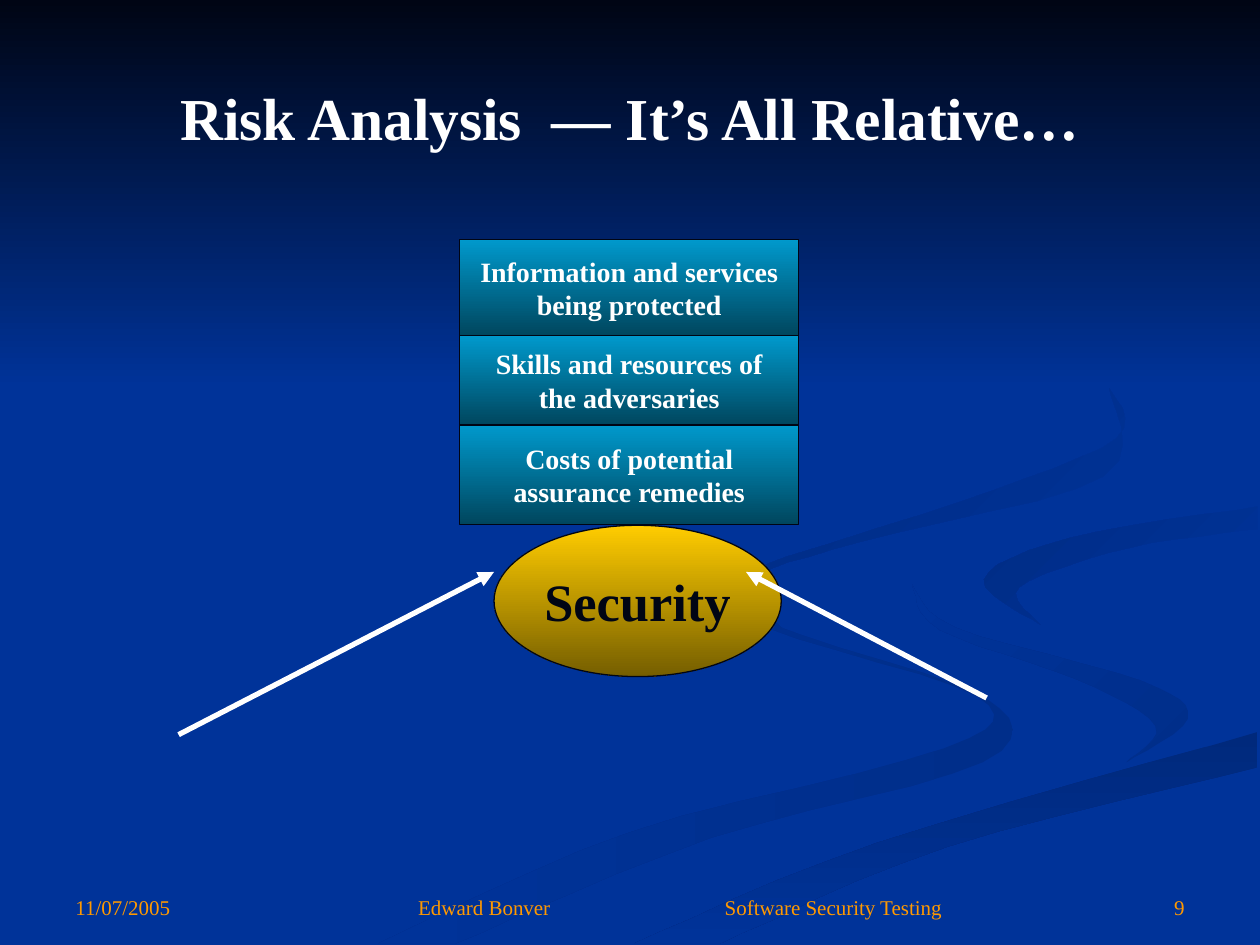
from lxml.etree import SubElement
from pptx import Presentation
from pptx.dml.color import RGBColor
from pptx.enum.shapes import MSO_CONNECTOR, MSO_SHAPE
from pptx.enum.text import MSO_ANCHOR, PP_ALIGN
from pptx.oxml.ns import qn
from pptx.util import Cm, Pt

FONT = "Times New Roman"
BLUE = RGBColor(0x00, 0x33, 0x99)
NIGHT = RGBColor(0x00, 0x05, 0x14)
RIBBON_BLUE = RGBColor(0x00, 0x2E, 0x8A)
RIBBON_DEEP = RGBColor(0x00, 0x29, 0x7C)
RIBBON_MID = RGBColor(0x00, 0x2C, 0x85)
RIBBON_DARK = RGBColor(0x00, 0x2B, 0x81)
CYAN = RGBColor(0x00, 0x99, 0xCC)
TEAL = RGBColor(0x00, 0x46, 0x5E)
GOLD = RGBColor(0xFF, 0xCC, 0x00)
BRONZE = RGBColor(0x75, 0x5E, 0x00)
WHITE = RGBColor(0xFF, 0xFF, 0xFF)
ORANGE = RGBColor(0xFF, 0x99, 0x00)

RIBBONS = [
    (RIBBON_BLUE, BLUE, 180,
     [(575, 459), (611, 499), (776, 553), (749, 594), (499, 661), (300, 749)],
     [(361, 749), (564, 665), (780, 605), (781, 553), (614, 496), (575, 459)]),
    (RIBBON_BLUE, BLUE, 225,
     [(724, 464), (758, 498), (905, 540), (943, 570), (894, 605)],
     [(894, 605), (917, 576), (854, 539), (746, 500), (724, 464)]),
    (RIBBON_DEEP, BLUE, 90,
     [(503, 749), (696, 669), (998, 581)],
     [(998, 609), (752, 672), (571, 749)]),
    (BLUE, RIBBON_MID, 225,
     [(998, 402), (849, 427), (781, 460), (826, 496)],
     [(826, 496), (809, 466), (896, 435), (998, 420)]),
    (BLUE, RIBBON_DARK, 225,
     [(880, 307), (886, 348), (763, 398), (577, 462), (622, 500)],
     [(622, 500), (596, 461), (683, 430), (876, 378), (880, 307)]),
]


def smooth(edge, steps=6):
    """Return points on a Catmull-Rom curve through the edge."""
    ends = [edge[0], *edge, edge[-1]]
    curve = []
    for quad in zip(ends, ends[1:], ends[2:], ends[3:]):
        for t in (i / steps for i in range(steps)):
            curve.append(tuple(
                b + t * ((c - a) + t * ((2 * a - 5 * b + 4 * c - d)
                                        + t * (3 * b - a - 3 * c + d))) / 2
                for a, b, c, d in zip(*quad)))
    return curve + [edge[-1]]


def blend(shape, start, end, angle=90):
    """Fill the shape with a two-colour gradient at a clockwise angle."""
    shape.shadow.inherit = False
    shape.fill.gradient()
    shape.fill.gradient_angle = 360 - angle
    for stop, color in zip(shape.fill.gradient_stops, (start, end)):
        stop.color.rgb = color


def write(shape, lines, size, color, align, anchor=MSO_ANCHOR.MIDDLE, bold=True, wrap=True):
    """Write one paragraph for each line."""
    tf = shape.text_frame
    tf.word_wrap = wrap
    tf.vertical_anchor = anchor
    for i, line in enumerate(lines):
        p = tf.add_paragraph() if i else tf.paragraphs[0]
        p.alignment = align
        r = p.add_run()
        r.text = line
        r.font.name, r.font.size, r.font.bold = FONT, Pt(size), bold
        r.font.color.rgb = color


def add_backdrop(s, x, y, w, h):
    """Draw the ribbons and the dark fade at the top."""
    s.background.fill.solid()
    s.background.fill.fore_color.rgb = BLUE
    for start, end, angle, outer, inner in RIBBONS:
        points = smooth(outer) + smooth(inner)
        fb = s.shapes.build_freeform(*points[0], scale=Cm(0.0254))
        fb.add_line_segments(points[1:], close=True)
        ribbon = fb.convert_to_shape(x, y)
        blend(ribbon, start, end, angle)
        ribbon.line.fill.background()
    fade = s.shapes.add_shape(MSO_SHAPE.RECTANGLE, x, y, w, h)
    blend(fade, NIGHT, BLUE)
    fade.line.fill.background()


def add_title(s, x, y, w, h):
    """Place the slide title."""
    sp = s.shapes.add_textbox(x, y, w, h)
    write(sp, ["Risk Analysis  — It’s All Relative…"], 34, WHITE, PP_ALIGN.CENTER)


def add_block(s, kind, box, colors, lines, size, text_color):
    """Draw an outlined gradient shape with centred text."""
    sp = s.shapes.add_shape(kind, *box)
    blend(sp, *colors)
    sp.line.color.rgb = NIGHT
    sp.line.width = Pt(0.75)
    write(sp, lines, size, text_color, PP_ALIGN.CENTER, wrap=False)


def add_arrow(s, x1, y1, x2, y2):
    """Draw a white arrow."""
    c = s.shapes.add_connector(MSO_CONNECTOR.STRAIGHT, x1, y1, x2, y2)
    c.line.color.rgb = WHITE
    c.line.width = Pt(3)
    spPr = c._element.spPr
    SubElement(spPr.find(qn("a:ln")), qn("a:tailEnd"), type="triangle")
    SubElement(spPr, qn("a:effectLst"))


def add_diagram(s, x, y, w):
    """Stack the risk factors on the security ellipse with two arrows."""
    add_block(s, MSO_SHAPE.OVAL, (x + Cm(0.69), y + Cm(5.76), Cm(5.79), Cm(3.05)),
              (GOLD, BRONZE), ["Security"], 30, NIGHT)
    tip = y + Cm(6.7)
    add_arrow(s, x - Cm(5.67), y + Cm(9.98), x + Cm(0.69), tip)
    add_arrow(s, x + Cm(10.62), y + Cm(9.24), x + Cm(5.77), tip)
    factors = [(Cm(1.94), ["Information and services", "being protected"]),
               (Cm(1.8), ["Skills and resources of", "the adversaries"]),
               (Cm(2), ["Costs of potential", "assurance remedies"])]
    top = y
    for height, lines in factors:
        add_block(s, MSO_SHAPE.RECTANGLE, (x, top, w, height), (CYAN, TEAL), lines, 16, WHITE)
        top += height


def add_footer(s, x, y, w, h):
    """Place the date, the author with the talk, and the slide number."""
    parts = [(x, Cm(5.28), "11/07/2005", PP_ALIGN.LEFT),
             (x + Cm(5.92), Cm(12.07), "Edward Bonver\tSoftware Security Testing", PP_ALIGN.LEFT),
             (x + w - Cm(2.74), Cm(2.74), "9", PP_ALIGN.RIGHT)]
    for left, width, text, align in parts:
        sp = s.shapes.add_textbox(left, y, width, h)
        if "\t" in text:
            pPr = sp.text_frame.paragraphs[0]._p.get_or_add_pPr()
            pPr.set("marL", str(Cm(0.99)))
            tabs = SubElement(pPr, qn("a:tabLst"))
            SubElement(tabs, qn("a:tab"), pos=str(Cm(6.18)), algn="l")
        write(sp, [text], 12, ORANGE, align, MSO_ANCHOR.BOTTOM, bold=False)


def main():
    """Build and save the slide."""
    prs = Presentation()
    prs.slide_width, prs.slide_height = Cm(25.4), Cm(19.05)
    s = prs.slides.add_slide(prs.slide_layouts[6])
    add_backdrop(s, Cm(0), Cm(0), prs.slide_width, Cm(7.82))
    add_title(s, Cm(1.27), Cm(0.76), Cm(22.86), Cm(3.18))
    add_diagram(s, Cm(9.27), Cm(4.83), Cm(6.83))
    add_footer(s, Cm(1.27), Cm(17.35), Cm(22.86), Cm(1.32))
    prs.save("out.pptx")


if __name__ == "__main__":
    main()
